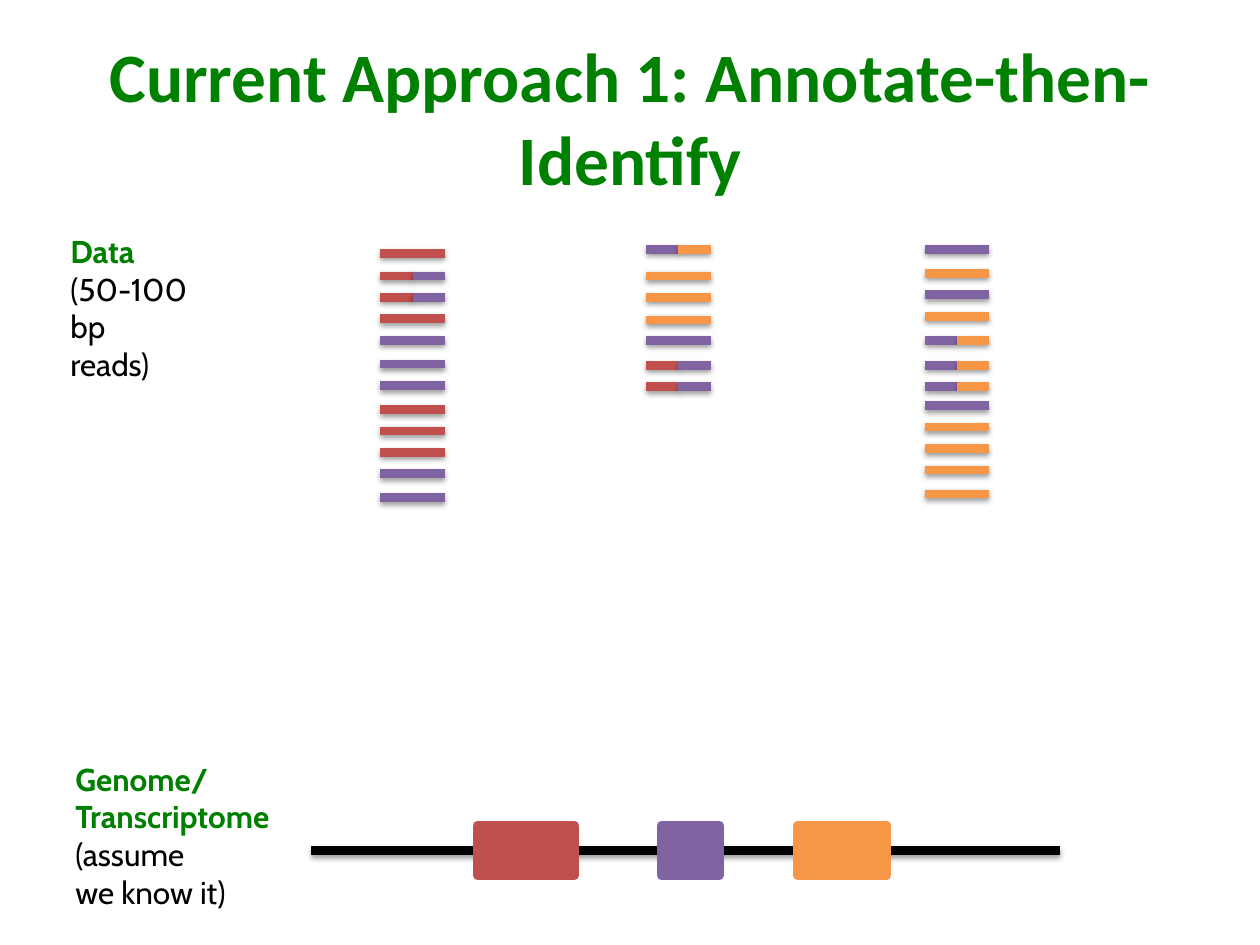
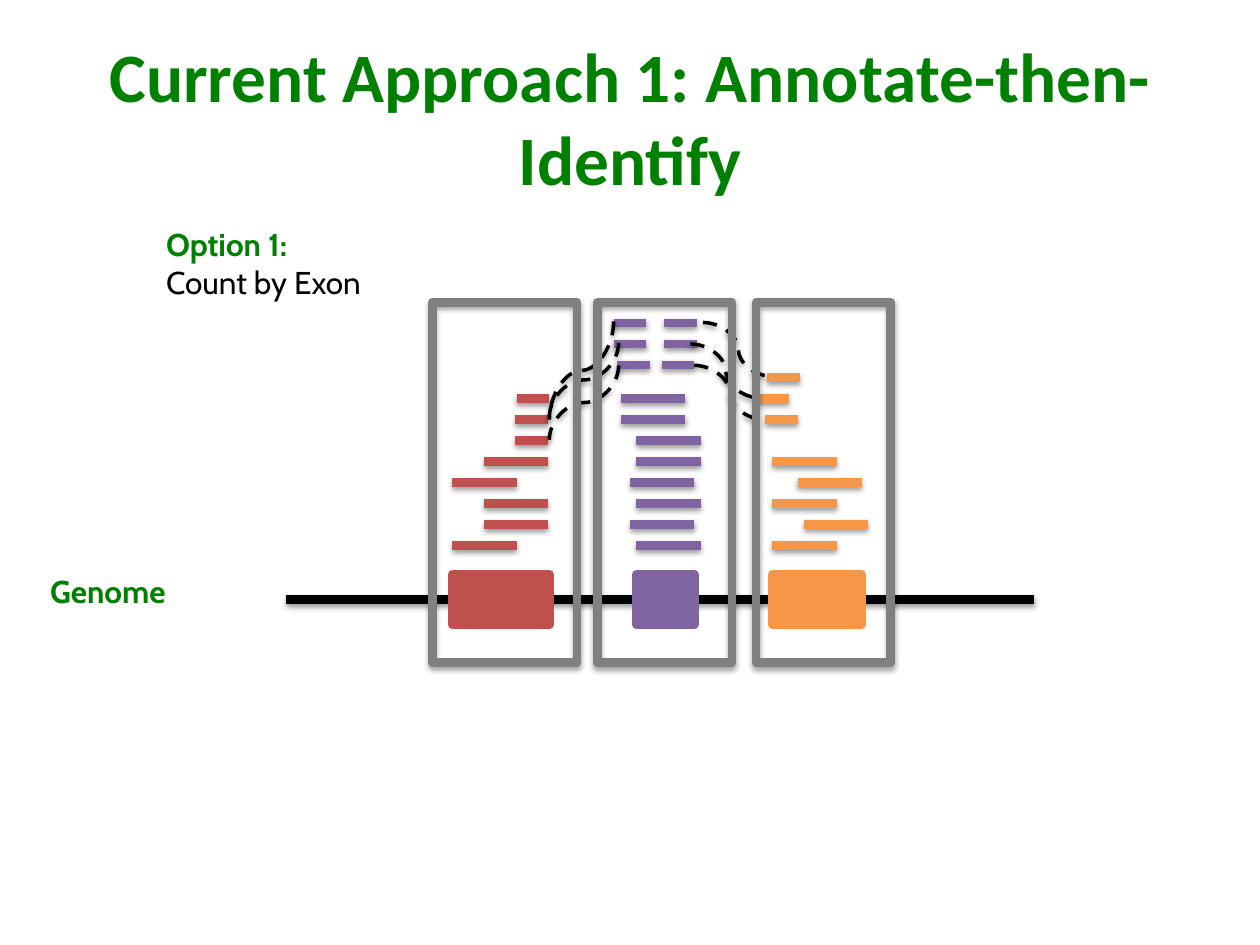
import pptx
import pptx.dml.color
import pptx.enum.dml
import pptx.enum.shapes
import pptx.enum.text
import pptx.oxml
import pptx.util
from pptx.oxml.ns import nsdecls

WIDE, HIGH = 10, 7.5
GREEN, BLACK, GREY = "008000", "000000", "808080"
EXON = {"R": "C0504D", "P": "8064A2", "O": "F79646"}
THICK, THIN = 5, 2
READ, HALF = 0.51, 0.26

# Exons along the genome: colour, distance from its left end, width
EXONS = [("R", 1.32, 0.77), ("P", 2.78, 0.46), ("O", 3.86, 0.71)]
GENOME, TALL = 5.94, 0.4

TITLES = ["Current Approach 1: Annotate-then- Identify",
          "Current Approach 1: Annotate-then-Identify"]

# Labels: left, top, width, height, green lines, black lines
DATA = (0.46, 1.79, 1.41, 1.01, ["Data"], ["(50-100 bp", "reads)"])
KNOWN = (0.5, 5.98, 1.89, 1.31, ["Genome/", "Transcriptome"],
         ["(assume", "we know it)"])
PLAIN = (0.3, 4.49, 1.17, 0.4, ["Genome"], [])
OPTION = (1.22, 1.74, 1.82, 0.71, ["Option 1:"], ["Count by Exon"])

# Samples: left, reads from the top down, height of each read
SAMPLES = [
    (3.02, "R RP RP R P P P R R R P P",
     [2.01, 2.19, 2.36, 2.53, 2.7, 2.89, 3.06, 3.25, 3.42, 3.59, 3.76, 3.95]),
    (5.13, "PO O O O P RP RP", [1.98, 2.19, 2.36, 2.54, 2.7, 2.9, 3.07]),
    (7.34, "P O P O PO PO PO P O O O O",
     [1.98, 2.17, 2.34, 2.51, 2.7, 2.9, 3.07, 3.22, 3.39, 3.56, 3.73, 3.92]),
]

# Aligned reads: left ends, from the lowest row up
FULL = {"R": [3.59, 3.84, 3.84, 3.59, 3.84],
        "P": [5.05, 5, 5.05, 5, 5.05, 5.05, 4.93, 4.93],
        "O": [6.13, 6.38, 6.13, 6.33, 6.13]}
# Split reads: colour, first row, left ends
SPLIT = [("R", 5, [4.09, 4.09, 4.1]), ("O", 6, [6.07, 6, 6.09]),
         ("P", 8.6, [4.9, 4.87, 4.87]), ("P", 8.6, [5.25, 5.27, 5.27])]
FLOOR, ROWS = 4.33, 6    # lowest row, rows to the inch

# Junctions: from x, y to x, y
ACROSS = [(5.51, 2.9, 6.07, 3.33), (5.48, 2.73, 6.04, 3.16),
          (5.58, 2.56, 6.14, 2.99)]
DOWN = [(4.87, 2.55, 4.36, 3.33), (4.91, 2.9, 4.36, 3.49),
        (4.91, 2.72, 4.36, 3.31)]

FRAMES = [(3.43, 1.15), (4.74, 1.07), (6, 1.07)]
FRAME_TOP, FRAME_HIGH = 2.4, 2.86

LINK = pptx.enum.shapes.MSO_CONNECTOR
RECT = pptx.enum.shapes.MSO_SHAPE.RECTANGLE


def inch(*sizes):
    return [pptx.util.Inches(size) for size in sizes]


def rgb(code):
    return pptx.dml.color.RGBColor.from_string(code)


def shade(item, alpha):
    """Give a finished line or frame its soft shadow straight below."""
    item._element.spPr.append(pptx.oxml.parse_xml(
        f'<a:effectLst {nsdecls("a")}><a:outerShdw blurRad="39370" '
        'dist="20320" dir="5400000" rotWithShape="0"><a:srgbClr '
        f'val="{BLACK}"><a:alpha val="{alpha * 1000}"/></a:srgbClr>'
        '</a:outerShdw></a:effectLst>'))


def link(slide, ends, color, width=THICK, kind=LINK.STRAIGHT):
    line = slide.shapes.add_connector(kind, *inch(*ends))
    line.line.color.rgb = rgb(color)
    line.line.width = pptx.util.Pt(width)
    shade(line, 38)
    return line


def read(slide, left, y, code, size=READ):
    """Draw a read, cut into equal parts, one for each letter of code."""
    part = size / len(code)
    for i, key in enumerate(code):
        x = left + i * part
        link(slide, (x, y, x + part, y), EXON[key])


def curve(slide, ends, down=False):
    line = link(slide, ends, BLACK, THIN, LINK.CURVE)
    line.line.dash_style = pptx.enum.dml.MSO_LINE.DASH
    if down:
        x1, y1, x2, y2 = ends
        wide, high = y2 - y1, x1 - x2
        xfrm = line._element.spPr.find(pptx.oxml.ns.qn("a:xfrm"))
        xfrm.attrib.pop("flipH", None)
        xfrm.set("rot", "5400000")
        line.left, line.top, line.width, line.height = inch(
            (x1 + x2 - wide) / 2, (y1 + y2 - high) / 2, wide, high)


def box(slide, place, color, filled=True):
    shape = slide.shapes.add_shape(RECT, *inch(*place))
    if filled:
        shape.fill.solid()
        shape.fill.fore_color.rgb = rgb(color)
    else:
        shape.fill.background()
    shape.line.color.rgb = rgb(color)
    shape.line.width = pptx.util.Pt(THICK)
    if filled:
        shape.shadow.inherit = False
    else:
        shade(shape, 35)
    return shape


def text(slide, place, lines, font, size):
    """Write lines of (words, colour, bold), one paragraph each."""
    frame = slide.shapes.add_textbox(*inch(*place)).text_frame
    frame.word_wrap = True
    for i, (words, color, bold) in enumerate(lines):
        para = frame.add_paragraph() if i else frame.paragraphs[0]
        run = para.add_run()
        run.text = words
        run.font.name, run.font.size = font, pptx.util.Pt(size)
        run.font.bold, run.font.color.rgb = bold, rgb(color)
    return frame


def label(slide, left, top, wide, high, heads, notes):
    lines = [(words, GREEN, True) for words in heads]
    lines += [(words, BLACK, False) for words in notes]
    text(slide, (left, top, wide, high), lines, "Cabin", 18)


def genome(slide, left, y):
    """Draw the exons and, behind them, the lines that join them."""
    exons = [box(slide, (left + gap, y - TALL / 2, wide, TALL), EXON[key])
             for key, gap, wide in EXONS]
    for a, b in zip([None] + exons, exons + [None]):
        line = link(slide, (left, y, left + GENOME, y), BLACK)
        if a:
            line.begin_connect(a, 3)
        if b:
            line.end_connect(b, 1)
        slide.shapes._spTree.insert(2, line._element)


def start(deck, title):
    slide = deck.slides.add_slide(deck.slide_layouts[6])
    frame = text(slide, (0.05 * WIDE, 0.04 * HIGH, 0.9 * WIDE, 1.25),
                 [(title, GREEN, True)], "Calibri", 39.6)
    frame.vertical_anchor = pptx.enum.text.MSO_ANCHOR.MIDDLE
    frame.paragraphs[0].alignment = pptx.enum.text.PP_ALIGN.CENTER
    return slide


def samples(deck):
    slide = start(deck, TITLES[0])
    genome(slide, 2.47, 6.75)
    label(slide, *KNOWN)
    label(slide, *DATA)
    for left, codes, rows in SAMPLES:
        for code, y in zip(codes.split(), rows):
            read(slide, left, y, code)


def counts(deck):
    slide = start(deck, TITLES[1])
    genome(slide, 2.27, 4.76)
    label(slide, *PLAIN)
    for key, lefts in FULL.items():
        for row, left in enumerate(lefts):
            read(slide, left, FLOOR - row / ROWS, key)
    for key, first, lefts in SPLIT:
        for row, left in enumerate(lefts, 0):
            read(slide, left, FLOOR - (first + row) / ROWS, key, HALF)
    for ends in ACROSS:
        curve(slide, ends)
    for ends in DOWN:
        curve(slide, ends, down=True)
    label(slide, *OPTION)
    for left, wide in FRAMES:
        box(slide, (left, FRAME_TOP, wide, FRAME_HIGH), GREY, filled=False)


def main():
    deck = pptx.Presentation()
    deck.slide_width, deck.slide_height = inch(WIDE, HIGH)
    samples(deck)
    counts(deck)
    deck.save("out.pptx")


if __name__ == "__main__":
    main()
